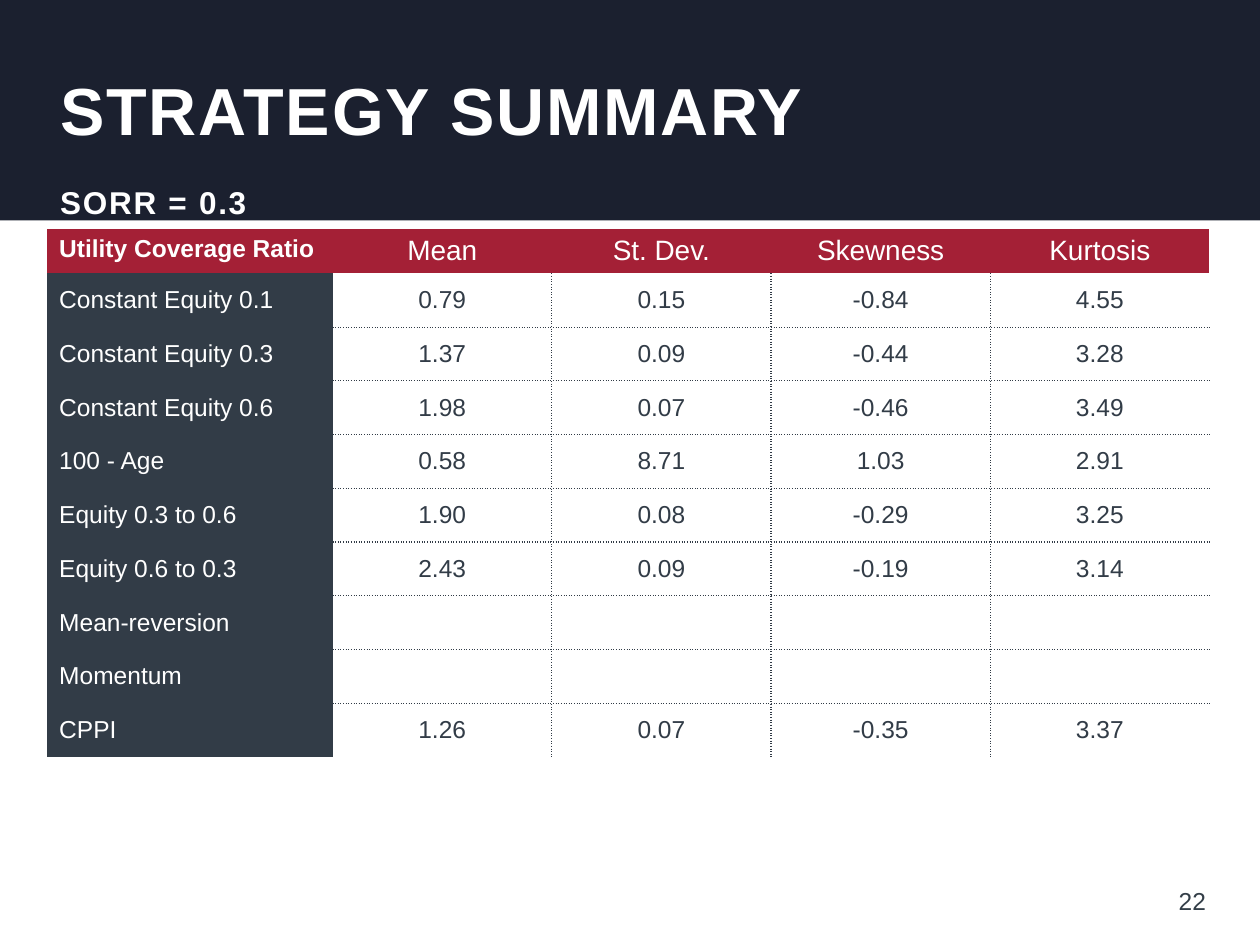
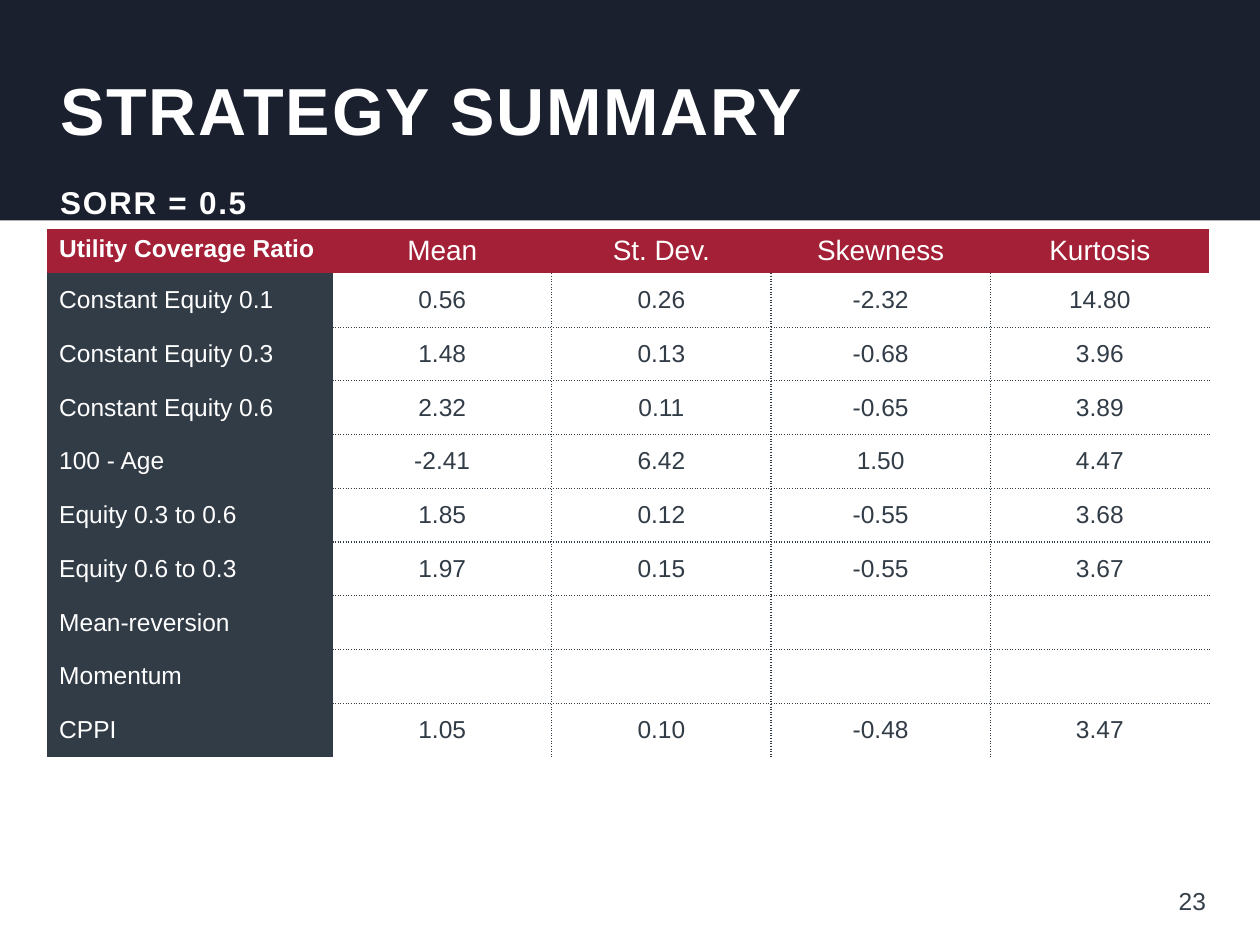
from lxml import etree
from pptx import Presentation
from pptx.dml.color import RGBColor
from pptx.enum.shapes import MSO_SHAPE
from pptx.enum.text import MSO_ANCHOR, MSO_AUTO_SIZE, PP_ALIGN
from pptx.oxml.ns import qn
from pptx.util import Inches, Pt

RECTANGLE = MSO_SHAPE.RECTANGLE
TOP, MIDDLE = MSO_ANCHOR.TOP, MSO_ANCHOR.MIDDLE
LEFT, CENTER, RIGHT = PP_ALIGN.LEFT, PP_ALIGN.CENTER, PP_ALIGN.RIGHT
NO_AUTOFIT = MSO_AUTO_SIZE.NONE

NAVY = RGBColor(0x1B, 0x20, 0x2F)
CRIMSON = RGBColor(0xA4, 0x20, 0x36)
SLATE = RGBColor(0x32, 0x3C, 0x47)
NUMBER_GREY = RGBColor(0x33, 0x3E, 0x48)
WHITE = RGBColor(0xFF, 0xFF, 0xFF)

FONT = "Arial"
GRID_COLUMNS, GRID_ROWS = 100, 75
TITLE_ONLY = 5
NO_STYLE_NO_GRID = "{2D5ABB26-0587-4C30-8999-92F81FD0307C}"

MEASURES = ["Mean", "St. Dev.", "Skewness", "Kurtosis"]
STRATEGIES = [
    "Constant Equity 0.1", "Constant Equity 0.3", "Constant Equity 0.6",
    "100 - Age", "Equity 0.3 to 0.6", "Equity 0.6 to 0.3",
    "Mean-reversion", "Momentum", "CPPI",
]
SUMMARIES = [
    (22, "SORR = 0.3", {
        "Constant Equity 0.1": ["0.79", "0.15", "-0.84", "4.55"],
        "Constant Equity 0.3": ["1.37", "0.09", "-0.44", "3.28"],
        "Constant Equity 0.6": ["1.98", "0.07", "-0.46", "3.49"],
        "100 - Age": ["0.58", "8.71", "1.03", "2.91"],
        "Equity 0.3 to 0.6": ["1.90", "0.08", "-0.29", "3.25"],
        "Equity 0.6 to 0.3": ["2.43", "0.09", "-0.19", "3.14"],
        "CPPI": ["1.26", "0.07", "-0.35", "3.37"],
    }),
    (23, "SORR = 0.5", {
        "Constant Equity 0.1": ["0.56", "0.26", "-2.32", "14.80"],
        "Constant Equity 0.3": ["1.48", "0.13", "-0.68", "3.96"],
        "Constant Equity 0.6": ["2.32", "0.11", "-0.65", "3.89"],
        "100 - Age": ["-2.41", "6.42", "1.50", "4.47"],
        "Equity 0.3 to 0.6": ["1.85", "0.12", "-0.55", "3.68"],
        "Equity 0.6 to 0.3": ["1.97", "0.15", "-0.55", "3.67"],
        "CPPI": ["1.05", "0.10", "-0.48", "3.47"],
    }),
]


def write(frame, text, size=14, color=WHITE, bold=False, align=LEFT, spacing=0):
    """Fill a text frame with one formatted line; spacing is in points."""
    paragraph = frame.paragraphs[0]
    paragraph.alignment = align
    run = paragraph.add_run()
    run.text = text
    run.font.name, run.font.size, run.font.bold = FONT, Pt(size), bold
    run.font.color.rgb = color
    if spacing:
        run.font._element.set("spc", str(spacing * 100))


def dot_borders(cell, sides):
    """Draw dotted lines on the given sides, named in the order L, R, T, B."""
    properties = cell._tc.get_or_add_tcPr()
    for position, side in enumerate(sides):
        line = etree.Element(qn(f"a:ln{side}"), w=str(Pt(0.75)))
        fill = etree.SubElement(line, qn("a:solidFill"))
        etree.SubElement(fill, qn("a:srgbClr"), val=str(SLATE))
        etree.SubElement(line, qn("a:prstDash"), val="sysDot")
        properties.insert(position, line)


class SummaryDeck:
    def __init__(self):
        self.presentation = Presentation()
        self.presentation.slide_width = Inches(10)
        self.presentation.slide_height = Inches(7.5)
        self.column = self.presentation.slide_width / GRID_COLUMNS
        self.row = self.presentation.slide_height / GRID_ROWS
        self.slide = None

    def area(self, left, top, width, height):
        """Turn grid columns and rows into slide lengths."""
        return (int(left * self.column), int(top * self.row),
                int(width * self.column), int(height * self.row))

    def start_slide(self):
        layout = self.presentation.slide_layouts[TITLE_ONLY]
        self.slide = self.presentation.slides.add_slide(layout)

    def band(self):
        """Put the title band behind everything else."""
        band = self.slide.shapes.add_shape(RECTANGLE, *self.area(0, 0, GRID_COLUMNS, 17.5))
        band.shadow.inherit = False
        band.fill.solid()
        band.fill.fore_color.rgb = NAVY
        band.line.fill.background()
        self.slide.shapes._spTree.insert(2, band._element)

    def title(self, text):
        title = self.slide.shapes.title
        title.left, title.top, title.width, title.height = self.area(3.8, 0, 92.3, 17.3)
        self.set_frame(title.text_frame)
        write(title.text_frame, text, size=38, bold=True, spacing=1)

    def text(self, text, area, **style):
        frame = self.slide.shapes.add_textbox(*self.area(*area)).text_frame
        self.set_frame(frame)
        write(frame, text, **style)

    def set_frame(self, frame):
        frame.word_wrap = True
        frame.auto_size = NO_AUTOFIT
        frame.vertical_anchor = MIDDLE

    def cell(self, cell, text, fill=None, anchor=MIDDLE, **style):
        cell.vertical_anchor = anchor
        if fill is None:
            cell.fill.background()
        else:
            cell.fill.solid()
            cell.fill.fore_color.rgb = fill
        if text:
            write(cell.text_frame, text, **style)

    def table(self, corner, measures, strategies, results):
        table = self.slide.shapes.add_table(
            len(strategies) + 1, len(measures) + 1, *self.area(3.7, 18.2, 92.3, 41.9)).table
        table._tbl.tblPr.find(qn("a:tableStyleId")).text = NO_STYLE_NO_GRID
        table.first_row = table.horz_banding = False

        table.columns[0].width = int(22.7 * self.column)
        for column in list(table.columns)[1:]:
            column.width = int((92.3 - 22.7) / len(measures) * self.column)
        table.rows[0].height = int(3.5 * self.row)
        for row in list(table.rows)[1:]:
            row.height = int(38.4 / len(strategies) * self.row)

        self.cell(table.cell(0, 0), corner, CRIMSON, TOP, bold=True)
        for c, measure in enumerate(measures, 1):
            self.cell(table.cell(0, c), measure, CRIMSON, TOP, size=16, align=CENTER)
        for r, strategy in enumerate(strategies, 1):
            self.cell(table.cell(r, 0), strategy, SLATE)
            values = results.get(strategy, [""] * len(measures))
            for c, value in enumerate(values, 1):
                cell = table.cell(r, c)
                self.cell(cell, value, color=SLATE, align=CENTER)
                inner = {"L": c > 1, "R": c < len(measures),
                         "T": r > 1, "B": r < len(strategies)}
                dot_borders(cell, [side for side, shown in inner.items() if shown])


def main():
    deck = SummaryDeck()
    for number, ratio, results in SUMMARIES:
        deck.start_slide()
        deck.band()
        deck.title("STRATEGY SUMMARY")
        deck.text(str(number), (73.4, 69.5, 23.3, 4), color=NUMBER_GREY, align=RIGHT)
        deck.table("Utility Coverage Ratio", MEASURES, STRATEGIES, results)
        deck.text(ratio, (3.8, 14.6, 92.3, 2.9), size=18, bold=True, spacing=1)
    deck.presentation.save("out.pptx")


if __name__ == "__main__":
    main()
